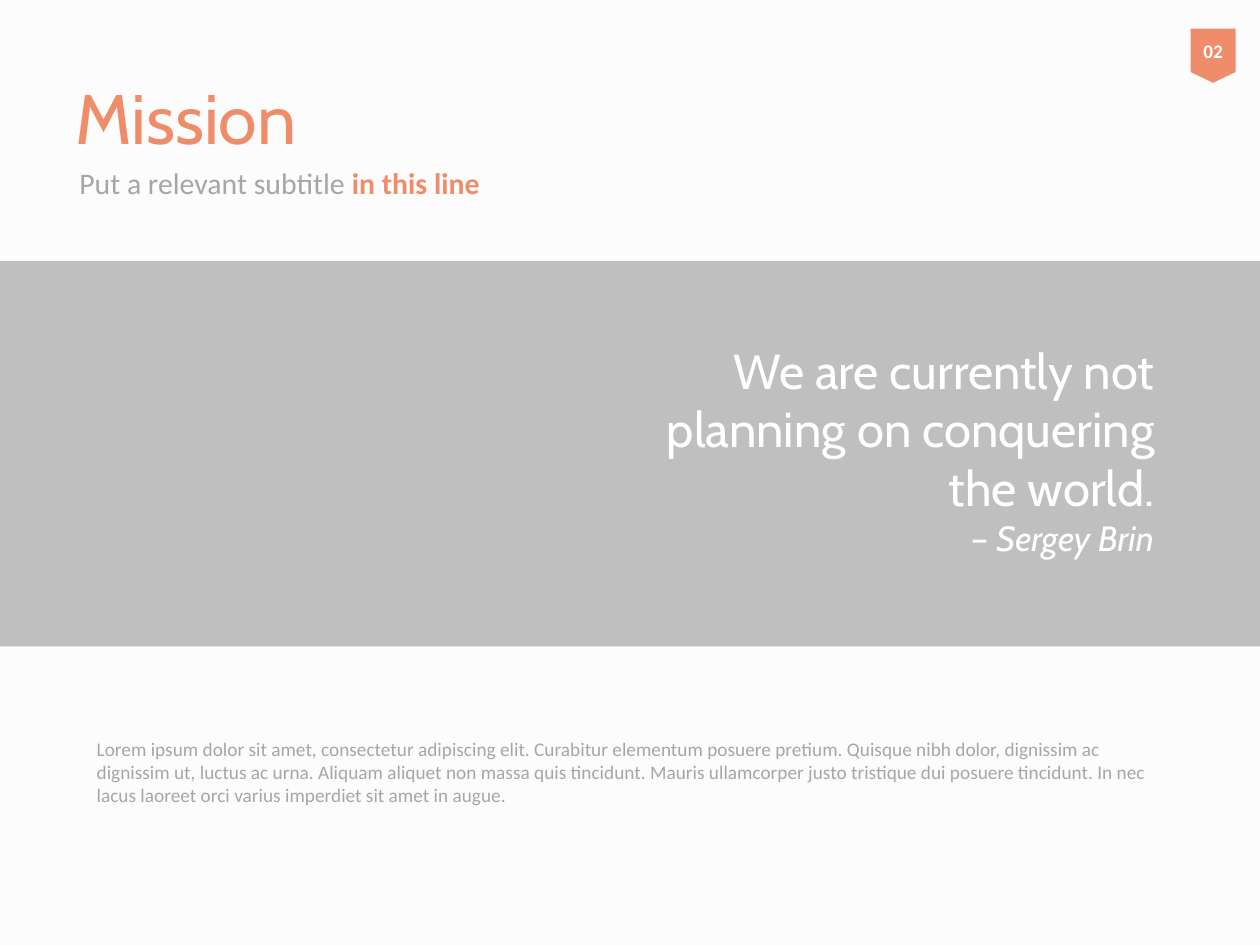
import pptx
import pptx.util
import pptx.dml.color
import pptx.enum.shapes
import pptx.enum.text

Cm = pptx.util.Cm
Pt = pptx.util.Pt
RGB = pptx.dml.color.RGBColor
Shape = pptx.enum.shapes.MSO_SHAPE
Align = pptx.enum.text.PP_ALIGN
Anchor = pptx.enum.text.MSO_ANCHOR

CORAL = RGB(0xEF, 0x8C, 0x6A)
GRAY = RGB(0xA6, 0xA6, 0xA6)
SILVER = RGB(0xBF, 0xBF, 0xBF)
WHITE = RGB(0xFF, 0xFF, 0xFF)
PAPER = RGB(0xFC, 0xFC, 0xFC)


def style(shape, face, size, color, align=Align.LEFT, anchor=Anchor.MIDDLE):
    frame = shape.text_frame
    frame.word_wrap = True
    frame.auto_size = pptx.enum.text.MSO_AUTO_SIZE.NONE
    frame.vertical_anchor = anchor
    line = frame.paragraphs[0]
    line.alignment = align
    line.font.name = face
    line.font.size = Pt(size)
    line.font.color.rgb = color
    return line


def block(kind, left, top, width, height, fill):
    shape = slide.shapes.add_shape(kind, Cm(left), Cm(top), Cm(width), Cm(height))
    shape.shadow.inherit = False
    shape.fill.solid()
    shape.fill.fore_color.rgb = fill
    shape.line.fill.background()
    return shape


deck = pptx.Presentation()
deck.slide_width = Cm(25.4)
deck.slide_height = Cm(19.05)
slide = deck.slides.add_slide(deck.slide_layouts[5])
slide.background.fill.solid()
slide.background.fill.fore_color.rgb = PAPER

band = block(Shape.RECTANGLE, 0, 5.26, 25.4, 7.77, SILVER)
quote = slide.shapes.title
quote._element.addprevious(band._element)
quote.left, quote.top = Cm(12.09), Cm(7.47)
quote.width, quote.height = Cm(11.43), Cm(3.18)
line = style(quote, "Cabin", 28, WHITE, Align.RIGHT)
line.add_run().text = "We are currently not planning on conquering the world."
line.add_line_break()
for text, slant in (("– ", False), ("Sergey Brin", True)):
    run = line.add_run()
    run.text = text
    run.font.size = Pt(20)
    run.font.italic = slant

lower = slide.shapes.add_textbox(Cm(1.35), Cm(3), Cm(22.86), Cm(1.35))
line = style(lower, "Calibri", 17, GRAY)
line.add_run().text = "Put a relevant subtitle "
run = line.add_run()
run.text = "in this line"
run.font.bold = True
run.font.color.rgb = CORAL

head = slide.shapes.add_textbox(Cm(1.27), Cm(0.76), Cm(22.86), Cm(3.18))
style(head, "Cabin", 40, CORAL).add_run().text = "Mission"

body = slide.shapes.add_textbox(Cm(1.7), Cm(14.73), Cm(22.2), Cm(2.26))
line = style(body, "Calibri", 11, GRAY, anchor=Anchor.TOP)
line.space_before = Pt(2.2)
line.add_run().text = (
    "Lorem ipsum dolor sit amet, consectetur adipiscing elit. "
    "Curabitur elementum posuere pretium. Quisque nibh dolor, dignissim ac "
    "dignissim ut, luctus ac urna. Aliquam aliquet non massa quis tincidunt. "
    "Mauris ullamcorper justo tristique dui posuere tincidunt. In nec lacus "
    "laoreet orci varius imperdiet sit amet in augue."
)

badge = block(Shape.FLOWCHART_OFFPAGE_CONNECTOR, 24, 0.58, 0.91, 1.09, CORAL)
line = style(badge, "Calibri", 11, WHITE, Align.CENTER)
line.font.bold = True
line.add_run().text = "02"
badge.text_frame.margin_left = badge.text_frame.margin_right = 0

deck.save("out.pptx")
